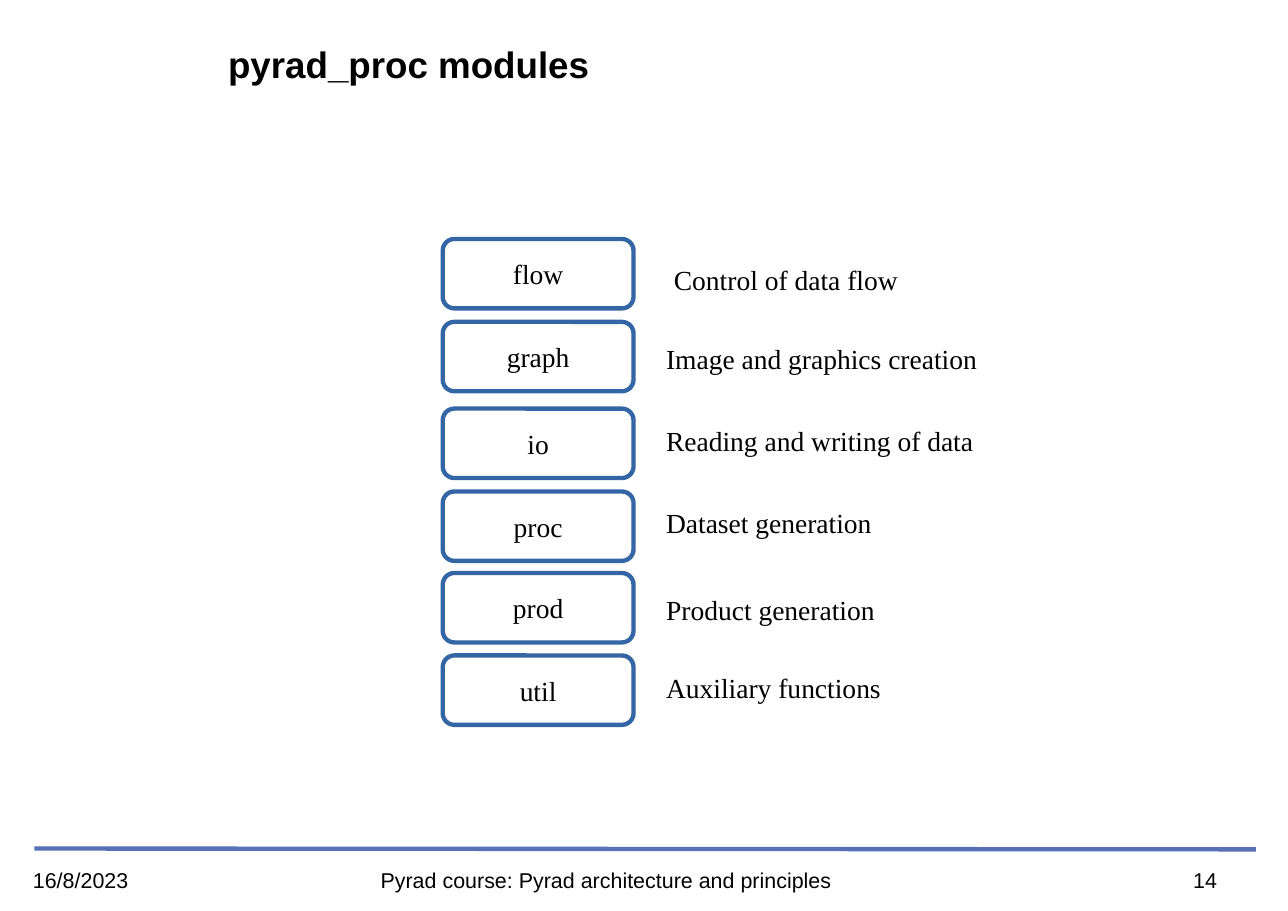
from lxml import etree
from pptx import Presentation
from pptx.dml.color import RGBColor
from pptx.enum.shapes import MSO_CONNECTOR, MSO_SHAPE
from pptx.enum.text import MSO_ANCHOR, PP_ALIGN
from pptx.oxml.ns import qn
from pptx.util import Cm, Pt

BLACK = RGBColor(0x00, 0x00, 0x00)
WHITE = RGBColor(0xFF, 0xFF, 0xFF)
BOX_BLUE = RGBColor(0x34, 0x65, 0xA4)
RULE_BLUE = RGBColor(0x57, 0x70, 0xB6)
LEFT, CENTER = PP_ALIGN.LEFT, PP_ALIGN.CENTER
TOP, MIDDLE = MSO_ANCHOR.TOP, MSO_ANCHOR.MIDDLE
ROUNDED = MSO_SHAPE.ROUNDED_RECTANGLE
STRAIGHT = MSO_CONNECTOR.STRAIGHT
SANS, SERIF = "Arial", "Times New Roman"
LINE_WIDTH = Pt(2.83)

prs = Presentation()
prs.slide_width, prs.slide_height = Cm(29.7), Cm(21)
slide = prs.slides.add_slide(prs.slide_layouts[6])
shapes = slide.shapes


def write(shape, text, font, size, align=LEFT, anchor=TOP, inset=(0, 0), wrap=True):
    frame = shape.text_frame
    frame.word_wrap = wrap
    frame.vertical_anchor = anchor
    frame.margin_left = frame.margin_right = Cm(inset[0])
    frame.margin_top = frame.margin_bottom = Cm(inset[1])
    paragraph = frame.paragraphs[0]
    paragraph.alignment = align
    run = paragraph.add_run()
    run.text = text
    run.font.name = font
    run.font.size = Pt(size)
    run.font.color.rgb = BLACK
    return paragraph


# Footer rule
rule = shapes.add_connector(STRAIGHT, Cm(0.79), Cm(19.56), Cm(28.96), Cm(19.58))
rule.line.color.rgb = RULE_BLUE
rule.line.width = LINE_WIDTH
etree.SubElement(rule._element.spPr, qn("a:effectLst"))

# Title
title = shapes.add_textbox(Cm(5.26), Cm(0.69), Cm(23.47), Cm(1.7))
heading = write(title, "pyrad_proc modules", SANS, 24, anchor=MIDDLE)
heading.line_spacing = 0.9
heading.runs[0].font.bold = True

# Modules: name, box top, description, description left, top and width (cm)
modules = [
    ("flow", 5.51, "Control of data flow", 15.29, 5.94, 5.69),
    ("graph", 7.42, "Image and graphics creation", 15.11, 7.75, 7.7),
    ("io", 9.42, "Reading and writing of data", 15.11, 9.65, 7.62),
    ("proc", 11.33, "Dataset generation", 15.11, 11.53, 5.26),
    ("prod", 13.21, "Product generation", 15.11, 13.54, 5.33),
    ("util", 15.11, "Auxiliary functions", 15.11, 15.34, 5.46),
]
for name, box_top, description, left, top, width in modules:
    box = shapes.add_shape(ROUNDED, Cm(10.21), Cm(box_top), Cm(4.4), Cm(1.6))
    box.shadow.inherit = False
    box.fill.solid()
    box.fill.fore_color.rgb = WHITE
    box.line.color.rgb = BOX_BLUE
    box.line.width = LINE_WIDTH
    write(box, name, SERIF, 18, CENTER, MIDDLE, (0.25, 0.13), wrap=False)

    label = shapes.add_textbox(Cm(left), Cm(top), Cm(width), Cm(0.97))
    write(label, description, SERIF, 18, inset=(0.25, 0.13), wrap=False)

# Footer: text, left, width, height (cm), alignment
footer = [
    ("Pyrad course: Pyrad architecture and principles", 3.78, 20.4, 0.99, CENTER),
    ("14", 26.34, 2.9, 0.58, CENTER),
    ("16/8/2023", 0.76, 6.91, 1.45, LEFT),
]
for text, left, width, height, align in footer:
    note = shapes.add_textbox(Cm(left), Cm(19.99), Cm(width), Cm(height))
    write(note, text, SANS, 14, align)

prs.save("out.pptx")
